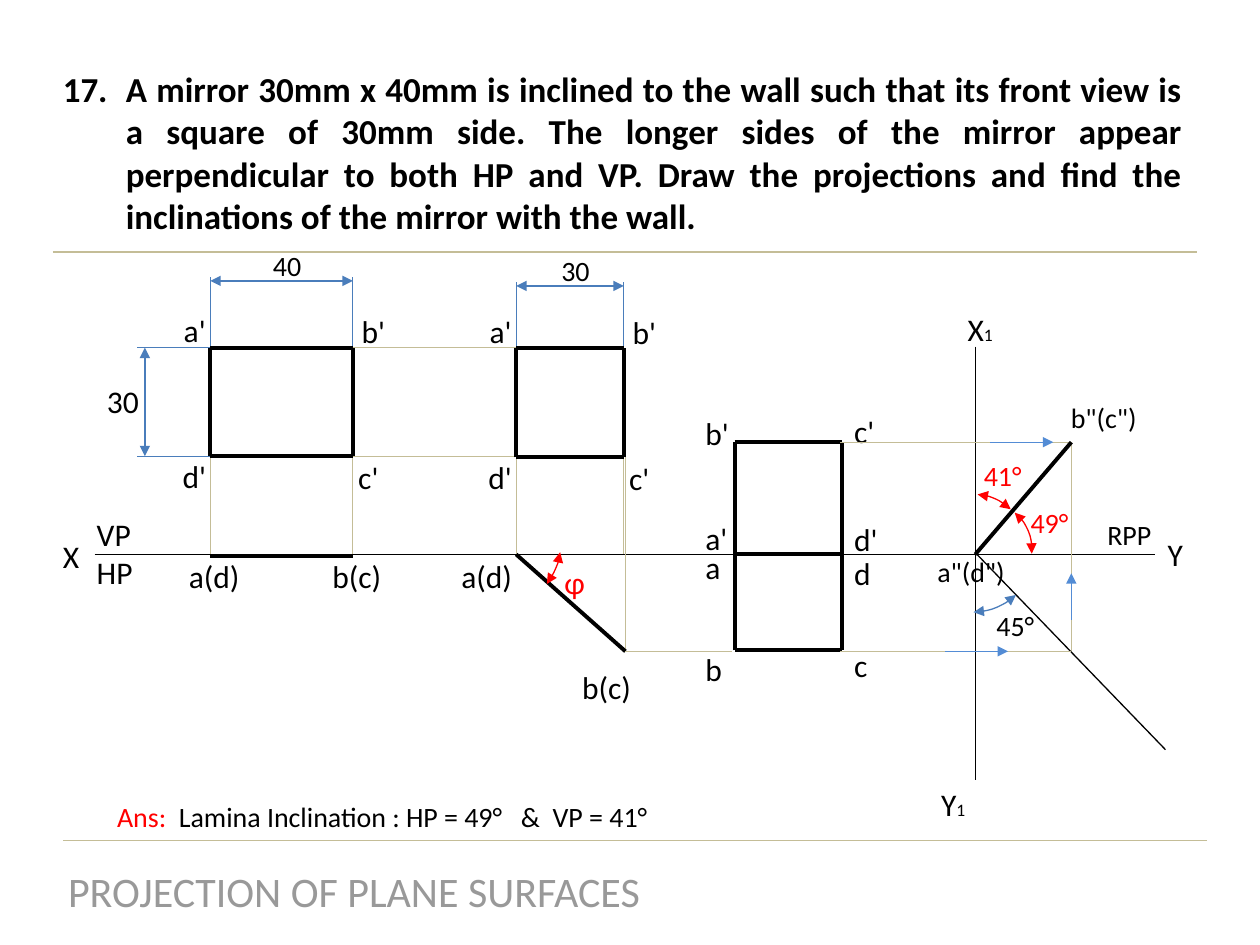
import collections

import lxml.etree
import pptx
import pptx.dml.color
import pptx.enum.shapes
import pptx.enum.text
import pptx.oxml.ns
import pptx.util

Pt = pptx.util.Pt
Align = pptx.enum.text.PP_ALIGN
BLACK = pptx.dml.color.RGBColor(0x00, 0x00, 0x00)
RED = pptx.dml.color.RGBColor(0xFF, 0x00, 0x00)
GREY = pptx.dml.color.RGBColor(0x99, 0x99, 0x99)
TAN = pptx.dml.color.RGBColor(0xC4, 0xBD, 0x97)
BLUE = pptx.dml.color.RGBColor(0x4A, 0x7D, 0xBB)
ARROW_BLUE = pptx.dml.color.RGBColor(0x53, 0x8C, 0xD5)
THIN, THICK = 0.75, 2.25
Box = collections.namedtuple("Box", "left top width height")


def write_text(para, text, size=18, color=BLACK, bold=False):
    """Append one formatted span to a paragraph."""
    span = para.add_run()
    span.text = text
    span.font.name = "Calibri"
    span.font.size = Pt(size)
    span.font.bold = bold
    span.font.color.rgb = color


def place(shape, box):
    """Move and size a shape to fill a box."""
    shape.left, shape.top, shape.width, shape.height = map(Pt, box)


def add_label(page, box, at, text, width=36, size=18, color=BLACK):
    """Add a label at an offset from a box and return its last paragraph."""
    lines = text.split("\n")
    label = page.shapes.add_textbox(Pt(box.left + at[0]), Pt(box.top + at[1]),
                                    Pt(width), Pt(size * 1.22 * len(lines) + 7.2))
    frame = label.text_frame
    frame.word_wrap = True
    frame.margin_right = Pt(0)
    for index, line in enumerate(lines):
        para = frame.add_paragraph() if index else frame.paragraphs[0]
        write_text(para, line, size=size, color=color)
    return para


def add_arrowheads(shape, *ends):
    """Put triangles on the named ends of a line."""
    outline = shape.line._get_or_add_ln()
    for end in ends:
        lxml.etree.SubElement(outline, pptx.oxml.ns.qn(f"a:{end}"), type="triangle")


def add_line(page, box, start, end, color=BLACK, weight=THIN, arrows=()):
    """Draw a line between two offsets from a box."""
    line = page.shapes.add_connector(
        pptx.enum.shapes.MSO_CONNECTOR.STRAIGHT,
        Pt(box.left + start[0]), Pt(box.top + start[1]),
        Pt(box.left + end[0]), Pt(box.top + end[1]))
    line.line.color.rgb = color
    line.line.width = Pt(weight)
    lxml.etree.SubElement(line._element.spPr, pptx.oxml.ns.qn("a:effectLst"))
    add_arrowheads(line, *arrows)


def add_arc(page, box, bounds, angles, rotation=0, color=RED):
    """Draw a double-headed angle arc at bounds relative to a box."""
    arc = page.shapes.add_shape(pptx.enum.shapes.MSO_SHAPE.ARC, 0, 0, 0, 0)
    place(arc, (box.left + bounds[0], box.top + bounds[1], *bounds[2:]))
    arc.rotation = rotation
    for index, angle in enumerate(angles):
        arc.adjustments[index] = angle * 0.6
    arc.shadow.inherit = False
    arc.fill.background()
    arc.line.color.rgb = color
    arc.line.width = Pt(THIN)
    add_arrowheads(arc, "headEnd", "tailEnd")


def add_outline(page, box):
    """Draw the four thick edges of a box."""
    corners = [(0, 0), (box.width, 0), (box.width, box.height), (0, box.height)]
    for start, end in zip(corners, corners[1:] + corners[:1]):
        add_line(page, box, start, end, weight=THICK)


def draw_problem(page, box):
    """Write the numbered problem statement."""
    frame = page.shapes.add_textbox(*map(Pt, box)).text_frame
    frame.word_wrap = True
    para = frame.paragraphs[0]
    para.alignment = Align.JUSTIFY
    write_text(para, "A mirror 30mm x 40mm is inclined to the wall such that its front view is "
               "a square of 30mm side. The longer sides of the mirror appear perpendicular to "
               "both HP and VP. Draw the projections and find the inclinations of the mirror "
               "with the wall.", size=20, bold=True)
    properties = para._p.get_or_add_pPr()
    properties.set("marL", str(Pt(36)))
    properties.set("indent", str(Pt(-36)))
    lxml.etree.SubElement(properties, pptx.oxml.ns.qn("a:buFont"), typeface="+mj-lt")
    lxml.etree.SubElement(properties, pptx.oxml.ns.qn("a:buAutoNum"),
                          type="arabicPeriod", startAt="17")
    add_line(page, box, (1.4, 108.7), (655.2, 108.7), TAN)


def draw_footer(page, box):
    """Write the answer, its rule and the slide title."""
    answer = add_label(page, box, (29.6, -37.4), "Ans:  ", width=324.7, size=16, color=RED)
    write_text(answer, "Lamina Inclination : HP = 49°   &  VP = 41°", size=16)
    add_line(page, box, (5.8, -10.8), (659.6, -10.8), TAN)
    title = page.shapes.title
    place(title, box)
    frame = title.text_frame
    frame.auto_size = pptx.enum.text.MSO_AUTO_SIZE.NONE
    frame.vertical_anchor = pptx.enum.text.MSO_ANCHOR.TOP
    frame.paragraphs[0].alignment = Align.CENTER
    write_text(frame.paragraphs[0], "PROJECTION OF PLANE SURFACES", size=24, color=GREY)


def draw_reference_line(page, box):
    """Draw the XY line with its plane names."""
    add_line(page, box, (0, 0), (box.width, 0))
    add_label(page, box, (-25.2, -13.7), "X", width=23.8)
    add_label(page, box, (box.width, -14.4), "Y", width=23)
    add_label(page, box, (-5.8, -25.9), "VP\nHP", width=35.3)


def draw_front_view(page, box, ground, dimension, rise):
    """Draw a dimensioned front view with projectors down to the ground."""
    width, height = box.width, box.height
    for x in (0, width):
        add_line(page, box, (x, height), (x, ground - box.top), TAN)
        add_line(page, box, (x, -rise - 2), (x, 0), BLUE)
    add_line(page, box, (0, -rise), (width, -rise), BLUE, arrows=("headEnd", "tailEnd"))
    add_label(page, box, (width / 2 - 12, -rise - 22.3), dimension, width=31, size=16)
    add_outline(page, box)
    for name, x, y in (("a'", -22.3, -24.5), ("b'", width - 2, -24),
                       ("c'", width - 4, height - 2.5), ("d'", -23, height - 3)):
        add_label(page, box, (x, y), name, width=27.4)


def draw_true_shape(page, box, ground):
    """Draw the true shape, its height dimension and its edge plan."""
    draw_front_view(page, box, ground, "40", 38.2)
    for y in (0, box.height):
        add_line(page, box, (-41.8, y), (0, y), BLUE)
        add_line(page, box, (box.width, y), (175, y), TAN)
    add_line(page, box, (-37.4, 0), (-37.4, box.height), BLUE, arrows=("headEnd", "tailEnd"))
    add_label(page, box, (-66.2, 16), "30", width=33.1)
    depth = ground - box.top
    add_line(page, box, (0, depth + 0.7), (box.width, depth + 0.7), weight=THICK)
    add_label(page, box, (-19.4, depth - 2.2), "a(d)", width=43.9)
    add_label(page, box, (62.6, depth - 2.2), "b(c)", width=43.2)


def draw_inclined_view(page, box, ground, drop):
    """Draw the square front view with the inclined edge plan below."""
    draw_front_view(page, box, ground, "30", 35.7)
    depth = ground - box.top
    tip = (box.width + 1, depth + drop)
    add_line(page, box, (box.width + 1, box.height), tip, TAN)
    add_line(page, box, (0, depth), tip, weight=THICK)
    add_line(page, box, tip, (box.width + 62, depth + drop), TAN)
    add_label(page, box, (-38.5, depth - 2.2), "a(d)", width=43.9)
    add_label(page, box, (30.6, depth + 61.2), "b(c)", width=43.2)
    add_arc(page, box, (0, depth - 11.5, 18.7, 47.5), (283.9, 354.35), 35.5)
    add_label(page, box, (20.5, depth + 1.4), "ɸ", width=26.6, color=RED)


def draw_rotated_views(page, box, ground):
    """Draw the front view and plan stacked about the ground line."""
    depth = ground - box.top
    add_outline(page, box._replace(height=depth))
    add_outline(page, box._replace(top=ground, height=box.height - depth))
    left, right = -23.8, box.width
    for name, x, y in (("b'", left, -19.5), ("a'", left, 40.4), ("a", left, 56.9),
                       ("b", left, 115.2), ("c'", right, -20.9), ("d'", right, 41.1),
                       ("d", right, 60.5), ("c", right, 113)):
        add_label(page, box, (x, y), name, width=26)


def draw_side_view(page, box, ground):
    """Draw the side view on X1Y1 with the mitre line and angles."""
    depth, reach = ground - box.top, 54.9
    top, bottom = depth - 64.1, depth + 55.4
    add_line(page, box, (0, 0), (0, box.height))
    add_line(page, box, (0, depth - 1), (box.width, depth + 111.6))
    add_line(page, box, (reach, top), (reach, bottom), TAN)
    for y in (top, bottom):
        add_line(page, box, (-77, y), (reach, y), TAN)
    add_line(page, box, (0, depth), (reach, top), weight=THICK)
    for start, end in (((-17.3, bottom), (18.7, bottom)), ((8.6, top), (44.6, top)),
                       ((reach, bottom - 18), (reach, bottom - 44.6))):
        add_line(page, box, start, end, ARROW_BLUE, arrows=("tailEnd",))
    add_arc(page, box, (-13.7, 81.4, 41, 54), (302.71, 356.72), 314.5)
    add_arc(page, box, (-15.1, 90, 47.5, 52.6), (303.13, 5.13))
    add_arc(page, box, (-34.6, 84.2, 64.1, 71.3), (310.74, 357.26), 90, BLUE)
    for text, x, y, width, color in (
            ("45°", 5, 146.2, 40.3, BLACK), ("49°", 24.5, 87.1, 40.3, RED),
            ("41°", -2.2, 60.5, 40.3, RED), ("a\"(d\")", -28.8, 115.2, 54, BLACK),
            ("b\"(c\")", 47.5, 27.4, 52.6, BLACK), ("RPP", 68.4, 94.3, 40.3, BLACK)):
        add_label(page, box, (x, y), text, width=width, size=16, color=color)
    for text, x, y in (("X", -11.5, -24.5), ("Y", -26.6, 247)):
        write_text(add_label(page, box, (x, y), text, width=29.5), "1", size=10)


def main():
    """Build and save the one-slide deck."""
    deck = pptx.Presentation()
    deck.slide_width, deck.slide_height = Pt(720), Pt(540)
    page = deck.slides.add_slide(deck.slide_layouts[5])
    ground = 316.8
    draw_problem(page, Box(28.8, 35.3, 653.8, 104.4))
    draw_reference_line(page, Box(54, ground, 606.2, 0))
    draw_true_shape(page, Box(120.2, 198.7, 81.4, 62), ground)
    draw_inclined_view(page, Box(295, 199.1, 61.4, 62.2), ground, 55.4)
    draw_rotated_views(page, Box(419.8, 252.7, 61.2, 119), ground)
    draw_side_view(page, Box(557.3, 198, 108.7, 247.7), ground)
    draw_footer(page, Box(30.2, 491, 344.2, 36))
    deck.save("out.pptx")


if __name__ == "__main__":
    main()
